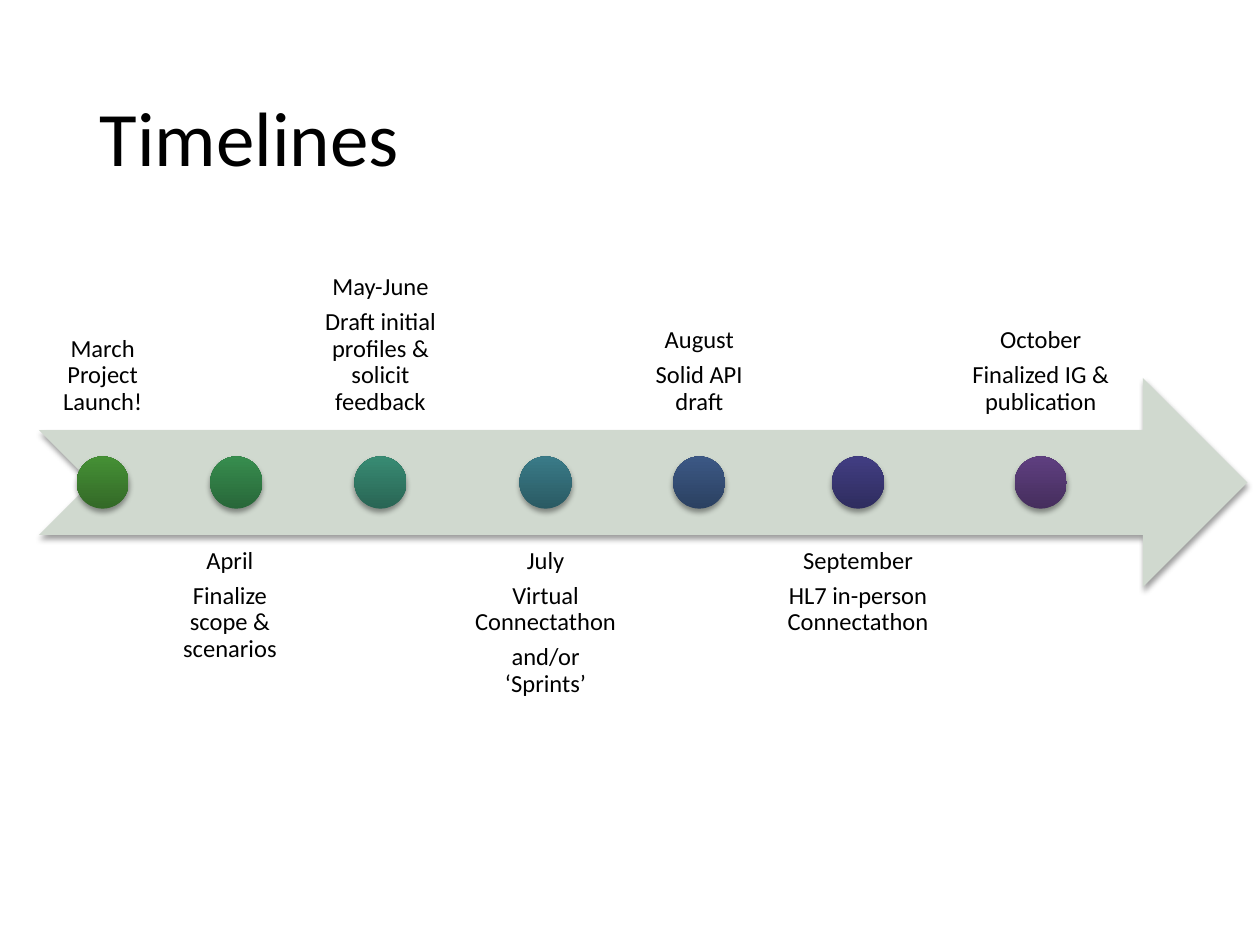
from dataclasses import dataclass

from lxml import etree
from pptx import Presentation
from pptx.dml.color import RGBColor
from pptx.enum.shapes import MSO_SHAPE
from pptx.enum.text import MSO_ANCHOR, PP_ALIGN
from pptx.oxml import parse_xml
from pptx.oxml.ns import nsdecls, qn
from pptx.util import Inches, Pt

ARROW, DOT = MSO_SHAPE.NOTCHED_RIGHT_ARROW, MSO_SHAPE.OVAL
TOP, MIDDLE, BOTTOM = MSO_ANCHOR.TOP, MSO_ANCHOR.MIDDLE, MSO_ANCHOR.BOTTOM
LEFT, CENTER = PP_ALIGN.LEFT, PP_ALIGN.CENTER
COLUMNS, ROWS = 100, 75
WIDTH, HEIGHT = Inches(10), Inches(7.5)
TITLE_ONLY = 5


@dataclass(frozen=True)
class Theme:
    """Colours, type and spacing of the slide."""
    font: str = "Calibri"
    text: str = "000000"
    arrow: str = "D0D9CF"
    shadow: str = "000000"
    title_size: int = 44
    label_size: int = 14
    line_spacing: float = 0.9
    label_gap: float = 4.9
    label_inset: float = 0.11


@dataclass(frozen=True)
class Milestone:
    """A dated label and its dot, placed in grid columns."""
    center: float
    width: float
    dark: str
    light: str
    lines: tuple
    dot_shift: float = 0


THEME = Theme()
BAND_TOP, BAND_HEIGHT = 30, 16.6
LABEL_ROWS = {BOTTOM: 17.5, TOP: 42.4}
DOT_SIZE = 4.14
MILESTONES = (
    Milestone(8.15, 10.1, "336927", "459035", ("March\vProject Launch!",)),
    Milestone(18.25, 10.5, "286739", "378D4E",
              ("April", "Finalize scope & scenarios"), 0.5),
    Milestone(30.2, 11.7, "296554", "388B73",
              ("May-June", "Draft initial profiles & solicit feedback")),
    Milestone(43.3, 13.9, "2A5A63", "3A7B88",
              ("July", "Virtual Connectathon", "and/or ‘Sprints’")),
    Milestone(55.5, 9.8, "2B4161", "3C5885", ("August", "Solid API draft")),
    Milestone(68.1, 14.8, "2F2D5F", "413D82",
              ("September", "HL7 in-person Connectathon")),
    Milestone(82.6, 13.6, "452E5D", "5F3F80",
              ("October", "Finalized IG & publication")),
)


def grid(column, row, columns, rows):
    """Turn a grid cell range into slide lengths."""
    across, down = WIDTH / COLUMNS, HEIGHT / ROWS
    return (int(column * across), int(row * down),
            int(columns * across), int(rows * down))


def write_text(frame, lines, *, size, align, anchor, gap=0):
    """Fill a text frame with one formatted paragraph per line."""
    frame.word_wrap = True
    frame.vertical_anchor = anchor
    for index, line in enumerate(lines):
        para = frame.paragraphs[0] if index == 0 else frame.add_paragraph()
        para.text = line
        para.alignment = align
        para.line_spacing = THEME.line_spacing
        para.space_after = Pt(gap)
        for span in para.runs:
            span.font.name = THEME.font
            span.font.size = Pt(size)
            span.font.color.rgb = RGBColor.from_string(THEME.text)


def add_title(page, text):
    """Place and fill the title placeholder."""
    title = page.shapes.title
    title.left, title.top, title.width, title.height = grid(6.9, 4, 86.2, 14.5)
    write_text(title.text_frame, [text], size=THEME.title_size,
               align=LEFT, anchor=MIDDLE)


def cast_shadow(shape):
    """Give a shape a soft shadow straight below it."""
    shape.shadow.inherit = False
    effects = shape._element.spPr.find(qn("a:effectLst"))
    outer = parse_xml(
        f'<a:outerShdw {nsdecls("a")} blurRad="{Pt(3.1)}" dist="{Pt(2)}" '
        'dir="5400000" rotWithShape="0"/>')
    color = etree.SubElement(outer, qn("a:srgbClr"), val=THEME.shadow)
    etree.SubElement(color, qn("a:alpha"), val="38000")
    effects.append(outer)


def add_solid(page, preset, area, *colors):
    """Add an unlined shape filled with one colour or an upward gradient."""
    shape = page.shapes.add_shape(preset, *area)
    shape.line.fill.background()
    if len(colors) == 1:
        shape.fill.solid()
        shape.fill.fore_color.rgb = RGBColor.from_string(colors[0])
    else:
        shape.fill.gradient()
        shape.fill.gradient_angle = 90
        for stop, color in zip(shape.fill.gradient_stops, colors):
            stop.color.rgb = RGBColor.from_string(color)
    cast_shadow(shape)


def add_label(page, milestone, anchor):
    """Add the text of a milestone above or below the arrow."""
    left = milestone.center - milestone.width / 2
    box = page.shapes.add_textbox(
        *grid(left, LABEL_ROWS[anchor], milestone.width, BAND_HEIGHT))
    frame = box.text_frame
    frame.margin_left = frame.margin_right = Inches(THEME.label_inset)
    frame.margin_top = frame.margin_bottom = Inches(THEME.label_inset)
    write_text(frame, milestone.lines, size=THEME.label_size,
               align=CENTER, anchor=anchor, gap=THEME.label_gap)


def add_dot(page, milestone):
    """Add the dot of a milestone on the middle of the arrow."""
    left = milestone.center + milestone.dot_shift - DOT_SIZE / 2
    top = BAND_TOP + (BAND_HEIGHT - DOT_SIZE) / 2
    add_solid(page, DOT, grid(left, top, DOT_SIZE, DOT_SIZE),
              milestone.dark, milestone.light)


def main():
    """Build the timeline slide and save it."""
    deck = Presentation()
    deck.slide_width, deck.slide_height = WIDTH, HEIGHT
    page = deck.slides.add_slide(deck.slide_layouts[TITLE_ONLY])
    add_title(page, "Timelines")
    add_solid(page, ARROW, grid(3.1, BAND_TOP, 95.9, BAND_HEIGHT), THEME.arrow)
    for index, milestone in enumerate(MILESTONES):
        add_label(page, milestone, TOP if index % 2 else BOTTOM)
        add_dot(page, milestone)
    deck.save("out.pptx")


if __name__ == "__main__":
    main()
